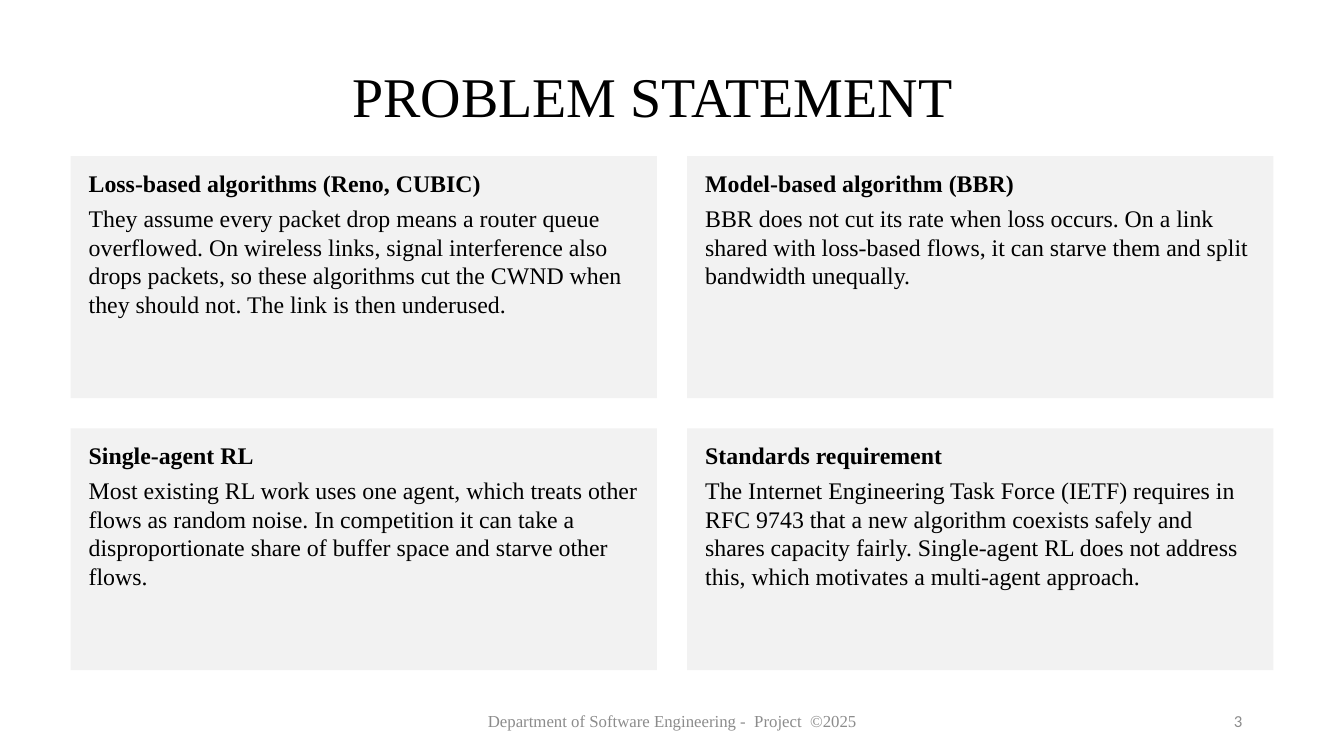
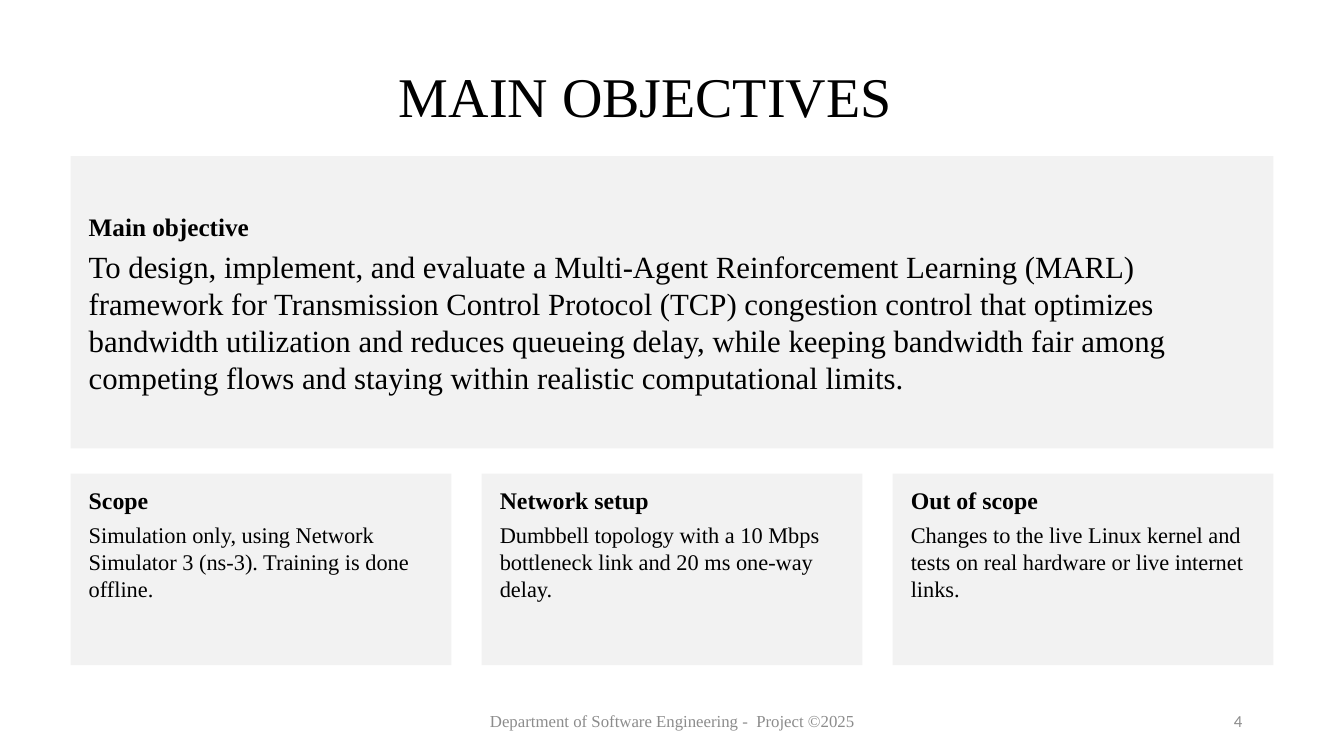
from dataclasses import dataclass
from pptx import Presentation
from pptx.dml.color import RGBColor
from pptx.enum.shapes import MSO_SHAPE
from pptx.enum.text import MSO_ANCHOR, PP_ALIGN
from pptx.util import Inches, Pt


@dataclass(frozen=True)
class Theme:
    ink: str = "000000"
    muted: str = "8C8C8C"
    panel: str = "F2F2F2"
    serif: str = "Times New Roman"
    sans: str = "Calibri"
    title: int = 40
    lead: int = 22
    lead_head: int = 18
    head: int = 17
    body: int = 17
    small: int = 16
    foot: int = 12


THEME = Theme()
WIDTH, HEIGHT = 13.33, 7.5
MARGIN, TOP, GUTTER = 0.7, 1.55, 0.3
TITLE_BOX = (0.72, 0.64, 11.5, 0.78)
FOOT_BOX = (4.42, 6.95, 4.5, 0.4)
PAGE_BOX = (9.42, 6.95, 3, 0.4)
INSETS = {"margin_left": 0.18, "margin_top": 0.12,
          "margin_right": 0.18, "margin_bottom": 0.1}

# Each row of cards: height, head size, body size, anchor, (head, body) pairs.
SLIDES = [
    {
        "title": "PROBLEM STATEMENT",
        "foot": "Department of Software Engineering -  Project  ©2025",
        "page": "3",
        "gap": 0.3,
        "rows": [
            (2.4, THEME.head, THEME.body, MSO_ANCHOR.TOP, [
                ("Loss-based algorithms (Reno, CUBIC)",
                 "They assume every packet drop means a router queue overflowed. "
                 "On wireless links, signal interference also drops packets, so "
                 "these algorithms cut the CWND when they should not. The link is "
                 "then underused."),
                ("Model-based algorithm (BBR)",
                 "BBR does not cut its rate when loss occurs. On a link shared "
                 "with loss-based flows, it can starve them and split bandwidth "
                 "unequally."),
            ]),
            (2.4, THEME.head, THEME.body, MSO_ANCHOR.TOP, [
                ("Single-agent RL",
                 "Most existing RL work uses one agent, which treats other flows "
                 "as random noise. In competition it can take a disproportionate "
                 "share of buffer space and starve other flows."),
                ("Standards requirement",
                 "The Internet Engineering Task Force (IETF) requires in RFC 9743 "
                 "that a new algorithm coexists safely and shares capacity fairly. "
                 "Single-agent RL does not address this, which motivates a "
                 "multi-agent approach."),
            ]),
        ],
    },
    {
        "title": "MAIN OBJECTIVES ",
        "foot": "Department of Software Engineering -  Project ©2025",
        "page": "4",
        "gap": 0.25,
        "rows": [
            (2.9, THEME.lead_head, THEME.lead, MSO_ANCHOR.MIDDLE, [
                ("Main objective",
                 "To design, implement, and evaluate a Multi-Agent Reinforcement "
                 "Learning (MARL) framework for Transmission Control Protocol "
                 "(TCP) congestion control that optimizes bandwidth utilization "
                 "and reduces queueing delay, while keeping bandwidth fair among "
                 "competing flows and staying within realistic computational "
                 "limits."),
            ]),
            (1.9, THEME.head, THEME.small, MSO_ANCHOR.TOP, [
                ("Scope",
                 "Simulation only, using Network Simulator 3 (ns-3). Training is "
                 "done offline."),
                ("Network setup",
                 "Dumbbell topology with a 10 Mbps bottleneck link and 20 ms "
                 "one-way delay."),
                ("Out of scope",
                 "Changes to the live Linux kernel and tests on real hardware or "
                 "live internet links."),
            ]),
        ],
    },
]


def write(para, text, size, color=THEME.ink, face=THEME.serif, bold=False, **style):
    """Fill a paragraph; style holds further paragraph attributes."""
    run = para.add_run()
    run.text = text
    for name, value in {"size": Pt(size), "name": face, "bold": bold}.items():
        setattr(run.font, name, value)
    run.font.color.rgb = RGBColor.from_string(color)
    for name, value in style.items():
        setattr(para, name, value)


def label(slide, box, text, size, anchor=MSO_ANCHOR.MIDDLE, **style):
    frame = slide.shapes.add_textbox(*map(Inches, box)).text_frame
    frame.word_wrap = True
    frame.vertical_anchor = anchor
    write(frame.paragraphs[0], text, size, **style)


def card(slide, box, head, body, sizes, anchor):
    shape = slide.shapes.add_shape(MSO_SHAPE.RECTANGLE, *map(Inches, box))
    shape.shadow.inherit = False
    shape.fill.solid()
    shape.fill.fore_color.rgb = RGBColor.from_string(THEME.panel)
    shape.line.fill.background()
    frame = shape.text_frame
    frame.word_wrap = True
    frame.vertical_anchor = anchor
    for name, value in INSETS.items():
        setattr(frame, name, Inches(value))
    write(frame.paragraphs[0], head, sizes[0], bold=True,
          alignment=PP_ALIGN.LEFT, space_after=Pt(5))
    write(frame.add_paragraph(), body, sizes[1],
          alignment=PP_ALIGN.LEFT, space_after=Pt(3))


def grid(slide, rows, gap):
    """Stack the rows, sharing the width evenly among the cards of each."""
    top = TOP
    for high, head_size, body_size, anchor, cards in rows:
        wide = (WIDTH - 2 * MARGIN + GUTTER) / len(cards) - GUTTER
        for col, (head, body) in enumerate(cards):
            left = MARGIN + col * (wide + GUTTER)
            card(slide, (left, top, wide, high), head, body,
                 (head_size, body_size), anchor)
        top += high + gap


def main():
    deck = Presentation()
    deck.slide_width, deck.slide_height = Inches(WIDTH), Inches(HEIGHT)
    for data in SLIDES:
        slide = deck.slides.add_slide(deck.slide_layouts[6])
        label(slide, TITLE_BOX, data["title"], THEME.title, MSO_ANCHOR.TOP,
              alignment=PP_ALIGN.CENTER, line_spacing=0.9)
        label(slide, FOOT_BOX, data["foot"], THEME.foot, color=THEME.muted,
              alignment=PP_ALIGN.CENTER)
        label(slide, PAGE_BOX, data["page"], THEME.foot, color=THEME.muted,
              face=THEME.sans, alignment=PP_ALIGN.RIGHT)
        grid(slide, data["rows"], data["gap"])
    deck.save("out.pptx")


if __name__ == "__main__":
    main()
